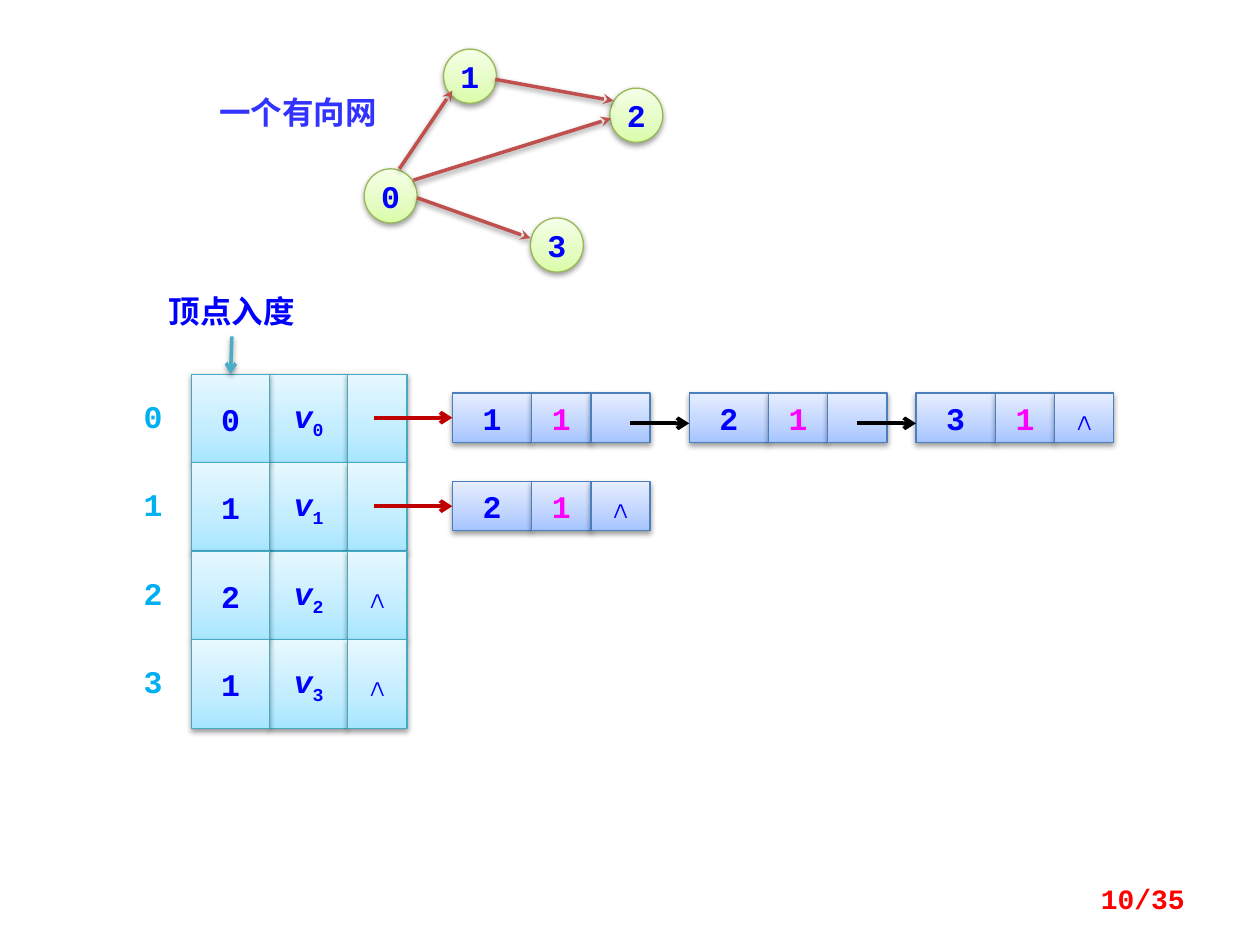
from copy import deepcopy

from lxml import etree
from pptx import Presentation, util as u
from pptx.dml.color import RGBColor
from pptx.enum import shapes, text
from pptx.oxml.ns import qn

MONO, CJK = "Courier New", "Noto Sans CJK SC"
BLUE, MAGENTA = "0000FF", "FF00FF"
CENTER = text.PP_ALIGN.CENTER


def color(value):
    """Turn a hex string into a colour."""
    return RGBColor.from_string(value)


class SlideBuilder:
    """Hold the style and the current slide, and draw its elements."""

    font = {"name": MONO, "size": u.Pt(18), "bold": True}
    green = (("DAFDA7", "E4FCC2", "F5FFE7"), "98B955")
    cyan = (("A7E6FF", "C1EDFF", "E7F8FF"), "46AAC5")
    violet = (("A4C4FF", "BFD4FF", "E6EEFF"), "4B7EBC")

    def __init__(self, slide):
        """Keep the slide to draw on."""
        self.slide = slide

    def effect(self, element, shadow=True):
        """Give an element a soft shadow below it, or none."""
        effects = etree.SubElement(element.spPr, qn("a:effectLst"))
        if shadow:
            outer = etree.SubElement(effects, qn("a:outerShdw"), blurRad="40000",
                                     dist="20000", dir="5400000", rotWithShape="0")
            black = etree.SubElement(outer, qn("a:srgbClr"), val="000000")
            etree.SubElement(black, qn("a:alpha"), val="38000")

    def styled_run(self, paragraph, content, hue, **changes):
        """Add one run with the house font and any changes to it."""
        run = paragraph.add_run()
        run.text = content
        for name, value in {**self.font, **changes}.items():
            setattr(run.font, name, value)
        run.font.color.rgb = color(hue)
        return run

    def label(self, box, content, hue, align=CENTER, margin=0.1, east_asian=None, **changes):
        """Add a text box with one line of text."""
        frame = self.slide.shapes.add_textbox(*map(u.Inches, box)).text_frame
        layout = {"word_wrap": True, "margin_left": u.Inches(margin),
                  "margin_right": u.Inches(margin), "margin_top": u.Inches(margin / 2),
                  "margin_bottom": u.Inches(margin / 2)}
        for name, value in layout.items():
            setattr(frame, name, value)
        paragraph = frame.paragraphs[0]
        paragraph.alignment = align
        run = self.styled_run(paragraph, content, hue, **changes)
        if east_asian:
            etree.SubElement(run._r.get_or_add_rPr(), qn("a:ea"), typeface=east_asian)

    def block(self, kind, box, style, content="", subscript="", hue=BLUE):
        """Add a shaded shape with centred text."""
        stops, outline = style
        shape = self.slide.shapes.add_shape(kind, *map(u.Inches, box))
        shape.fill.gradient()
        shape.fill.gradient_angle = 90
        stop_list = shape._element.spPr.find(".//" + qn("a:gsLst"))
        stop_list.append(deepcopy(stop_list[0]))
        for stop, position, value in zip(shape.fill.gradient_stops, (0, 0.35, 1), stops):
            stop.position = position
            stop.color.rgb = color(value)
        shape.line.color.rgb = color(outline)
        shape.line.width = u.Pt(0.75)
        self.effect(shape._element)
        frame = shape.text_frame
        frame.word_wrap = False
        frame.vertical_anchor = text.MSO_ANCHOR.MIDDLE
        paragraph = frame.paragraphs[0]
        paragraph.alignment = CENTER
        if content:
            self.styled_run(paragraph, content, hue, italic=bool(subscript))
        if subscript:
            run = self.styled_run(paragraph, subscript, hue)
            run._r.get_or_add_rPr().set("baseline", "-25000")
        return shape

    def arrow(self, start, end, hue, width=2.25, head="arrow", shadow=False):
        """Add a straight arrow."""
        connector = self.slide.shapes.add_connector(
            shapes.MSO_CONNECTOR.STRAIGHT, *map(u.Inches, (*start, *end)))
        connector.line.color.rgb = color(hue)
        connector.line.width = u.Pt(width)
        outline = connector._element.spPr.find(qn("a:ln"))
        etree.SubElement(outline, qn("a:tailEnd"), type=head)
        self.effect(connector._element, shadow)
        return connector


def draw_graph(builder):
    """Draw the directed network."""
    vertices = {"1": (3.52, 0.39), "2": (4.84, 0.7), "0": (2.89, 1.34), "3": (4.21, 1.73)}
    for name, place in vertices.items():
        builder.block(shapes.MSO_SHAPE.OVAL, (*place, 0.42, 0.43), builder.green, name)
    edges = [((3.17, 1.34), (3.59, 0.72)), ((3.31, 1.57), (4.21, 1.89)),
             ((3.28, 1.43), (4.85, 0.94)), ((3.93, 0.63), (4.87, 0.8))]
    for start, end in edges:
        builder.arrow(start, end, "C0504D", 2, "stealth", True)
    builder.label((1.64, 0.69, 1.56, 0.4), "一个有向网", "3333FF",
                  text.PP_ALIGN.LEFT, east_asian=CJK)


def draw_adjacency(builder):
    """Draw the vertex array and the edge list of each vertex."""
    rectangle = shapes.MSO_SHAPE.RECTANGLE
    end_mark = "∧"
    row_height, node_height = 2.81 / 4, 0.39
    tops = [2.97 + row * row_height for row in range(4)]
    degrees = "0121"
    edge_lists = ["123", "2", "", ""]
    node_lefts = (3.59, 5.47, 7.27)

    for row, top in enumerate(tops):
        builder.label((1.02, top + 0.18, 0.39, 0.3), str(row), "00B0F0", margin=0)
        builder.block(rectangle, (2.14, top, 0.62, row_height), builder.cyan, "v", str(row))
        builder.block(rectangle, (2.76, top, 0.47, row_height), builder.cyan,
                      "" if edge_lists[row] else end_mark)

    for top, targets in zip(tops, edge_lists):
        node_top = top + 0.15
        middle = node_top + node_height / 2
        for index, (target, left) in enumerate(zip(targets, node_lefts)):
            last = index == len(targets) - 1
            fields = [(0, 0.63, target, BLUE), (0.63, 0.47, "1", MAGENTA),
                      (1.1, 0.47, end_mark if last else "", BLUE)]
            cells = [builder.block(rectangle, (left + offset, node_top, width, node_height),
                                   builder.violet, content, hue=hue)
                     for offset, width, content, hue in fields]
            if index:
                builder.arrow((left - 0.47, top + 0.39), (left, top + 0.39), "000000")
            else:
                pointer = builder.arrow((2.97, middle), (left, middle), "C00000")
                pointer.end_connect(cells[0], 1)

    degree_cells = [builder.block(rectangle, (1.52, top, 0.62, row_height), builder.cyan, degree)
                    for top, degree in zip(tops, degrees)]
    builder.label((1.19, 2.27, 1.3, 0.4), "顶点入度", BLUE, name=CJK, east_asian=CJK)
    pointer = builder.arrow((1.84, 2.67), (1.83, 2.97), "4BACC6", 2, shadow=True)
    pointer.end_connect(degree_cells[0], 0)


def main():
    """Build and save the slide."""
    presentation = Presentation()
    presentation.slide_width, presentation.slide_height = u.Inches(10), u.Inches(7.5)
    builder = SlideBuilder(presentation.slides.add_slide(presentation.slide_layouts[6]))
    draw_graph(builder)
    draw_adjacency(builder)
    builder.label((7.17, 6.95, 2.33, 0.4), "10/35", "FF0000",
                  text.PP_ALIGN.RIGHT, size=u.Pt(16))
    presentation.save("out.pptx")


if __name__ == "__main__":
    main()
